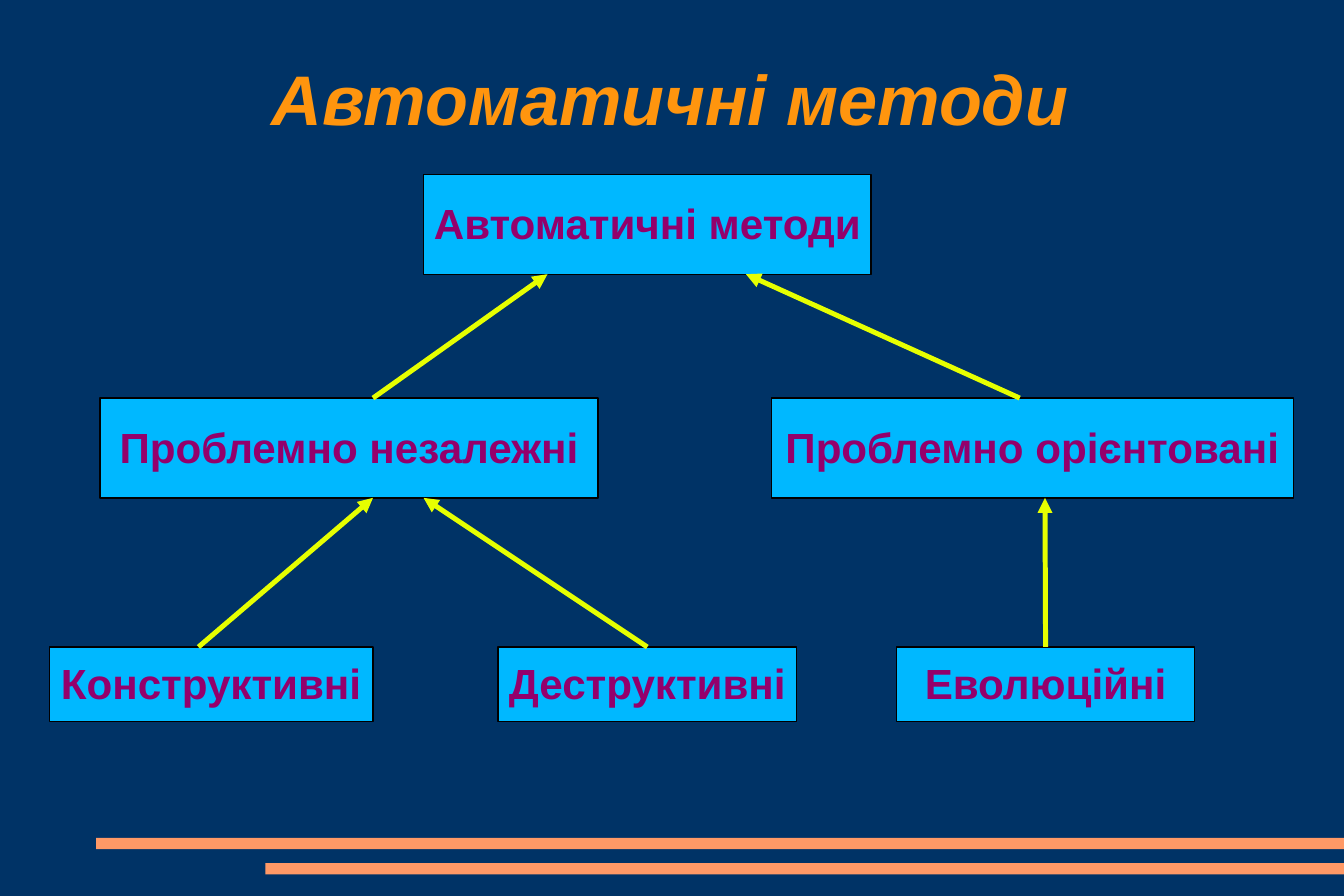
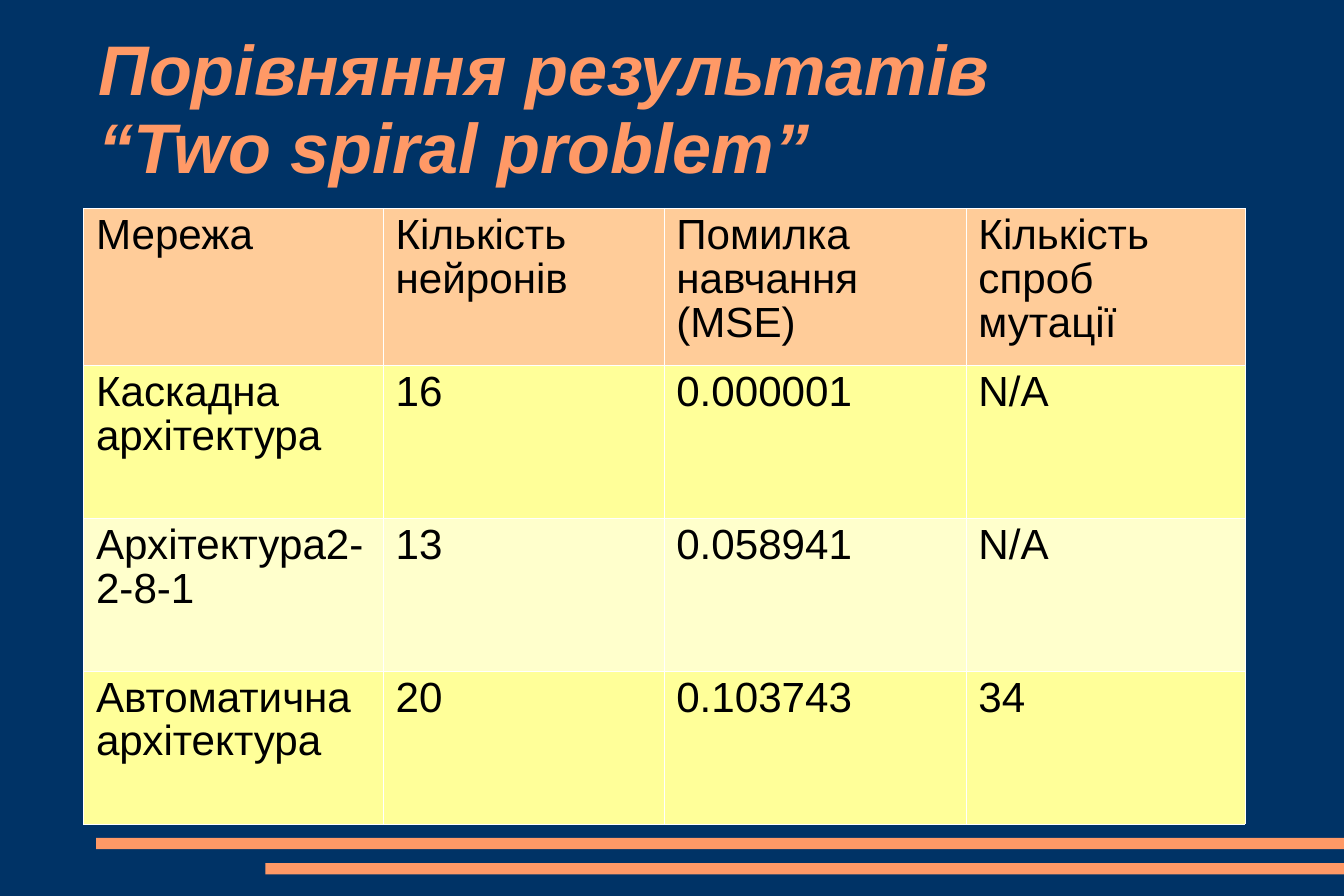
from dataclasses import dataclass

import pptx
from lxml import etree
from pptx.dml.color import RGBColor
from pptx.enum.shapes import MSO_CONNECTOR, MSO_SHAPE
from pptx.enum.text import MSO_ANCHOR, PP_ALIGN
from pptx.oxml.ns import qn
from pptx.util import Inches, Pt


@dataclass(frozen=True)
class Theme:
    background: str = "003366"
    band: str = "FF9966"
    title_bright: str = "FF950E"
    title_soft: str = "FF9966"
    box: str = "00B8FF"
    box_edge: str = "000000"
    box_text: str = "94006B"
    arrow: str = "E6FF00"
    header_row: str = "FFCC99"
    body_rows: tuple = ("FFFF99", "FFFFCC")
    cell_text: str = "000000"
    cell_border: str = "FFFFFF"
    font: str = "Arial"
    title_size: int = 40
    text_size: int = 24
    line_spacing: float = 0.93


THEME = Theme()
SLIDE_SIZE = (10.63, 7.09)
BANDS = [(0.76, 6.63), (2.1, 6.83)]  # left, top; each runs to the right edge
BAND_HEIGHT = 0.09

TREE_TITLE = "Автоматичні методи"
# text: left, top, width, height
METHODS = {
    "Автоматичні методи": (3.35, 1.38, 3.54, 0.79),
    "Проблемно незалежні": (0.79, 3.15, 3.94, 0.79),
    "Проблемно орієнтовані": (6.1, 3.15, 4.13, 0.79),
    "Конструктивні": (0.39, 5.12, 2.56, 0.59),
    "Деструктивні": (3.94, 5.12, 2.36, 0.59),
    "Еволюційні": (7.09, 5.12, 2.36, 0.59),
}
# child, shift from its top centre, parent, shift from its bottom centre
TREE_ARROWS = [
    ("Проблемно незалежні", 0.19, "Автоматичні методи", -0.79),
    ("Проблемно орієнтовані", -0.1, "Автоматичні методи", 0.78),
    ("Деструктивні", 0, "Проблемно незалежні", 0.59),
    ("Конструктивні", -0.1, "Проблемно незалежні", 0.19),
    ("Еволюційні", 0, "Проблемно орієнтовані", 0.1),
]

RESULTS_TITLE = "Порівняння результатів\v“Two spiral problem”"
RESULTS = [
    ("Мережа", "Кількість\nнейронів", "Помилка навчання (MSE)", "Кількість спроб мутації"),
    ("Каскадна архітектура", "16", "0.000001", "N/A"),
    ("Архітектура2-2-8-1", "13", "0.058941", "N/A"),
    ("Автоматична архітектура", "20", "0.103743", "34"),
]
RESULTS_AT = (0.66, 1.65)
COLUMN_WIDTHS = (2.37, 2.22, 2.39, 2.21)
ROW_HEIGHTS = (1.24, 1.21, 1.21, 1.21)


def rgb(code):
    return RGBColor.from_string(code)


def inches(values):
    return [Inches(value) for value in values]


def write(frame, text, color, size=THEME.text_size, align=PP_ALIGN.LEFT,
          bold=False, italic=False):
    frame.text = text
    for paragraph in frame.paragraphs:
        paragraph.alignment = align
        paragraph.line_spacing = THEME.line_spacing
        font = paragraph.font
        font.name, font.size = THEME.font, Pt(size)
        font.bold, font.italic = bold, italic
        font.color.rgb = rgb(color)


def set_frame(frame, top_inset, wrap):
    """Middle anchor and no insets except at the top."""
    frame.word_wrap = wrap
    frame.vertical_anchor = MSO_ANCHOR.MIDDLE
    frame.margin_left = frame.margin_right = frame.margin_bottom = 0
    frame.margin_top = Inches(top_inset)


def add_rectangle(slide, at, fill):
    rectangle = slide.shapes.add_shape(MSO_SHAPE.RECTANGLE, *inches(at))
    rectangle.shadow.inherit = False
    rectangle.fill.solid()
    rectangle.fill.fore_color.rgb = rgb(fill)
    rectangle.line.fill.background()
    return rectangle


def add_slide(deck, title, title_at, color, align):
    """A blank slide with the shared bands and title style."""
    slide = deck.slides.add_slide(deck.slide_layouts[6])
    for left, top in BANDS:
        add_rectangle(slide, (left, top, SLIDE_SIZE[0] - left, BAND_HEIGHT), THEME.band)
    frame = slide.shapes.add_textbox(*inches(title_at)).text_frame
    set_frame(frame, 0.04, wrap=True)
    write(frame, title, color, THEME.title_size, align, bold=True, italic=True)
    return slide


def add_method(slide, name, at):
    box = add_rectangle(slide, at, THEME.box)
    box.line.color.rgb = rgb(THEME.box_edge)
    box.line.width = Pt(0.75)
    set_frame(box.text_frame, 0.02, wrap=False)
    write(box.text_frame, name, THEME.box_text, align=PP_ALIGN.CENTER, bold=True)
    return box


def add_arrow(slide, child, child_shift, parent, parent_shift):
    arrow = slide.shapes.add_connector(
        MSO_CONNECTOR.STRAIGHT,
        child.left + child.width // 2 + Inches(child_shift), child.top,
        parent.left + parent.width // 2 + Inches(parent_shift), parent.top + parent.height)
    if child_shift == 0:
        arrow.begin_connect(child, 0)
    if parent_shift == 0:
        arrow.end_connect(parent, 2)
    arrow.line.color.rgb = rgb(THEME.arrow)
    arrow.line.width = Pt(2.83)
    properties = arrow.element.spPr
    etree.SubElement(properties.find(qn("a:ln")), qn("a:tailEnd"), type="triangle")
    etree.SubElement(properties, qn("a:effectLst"))


def set_borders(cell):
    properties = cell._tc.get_or_add_tcPr()
    for side in ("lnL", "lnR", "lnT", "lnB"):
        border = etree.SubElement(properties, qn(f"a:{side}"), w=str(Pt(0.06)))
        fill = etree.SubElement(border, qn("a:solidFill"))
        etree.SubElement(fill, qn("a:srgbClr"), val=THEME.cell_border)


def build_tree(deck):
    slide = add_slide(deck, TREE_TITLE, (0.76, 0.2, 9.08, 1.18),
                      THEME.title_bright, PP_ALIGN.CENTER)
    boxes = {name: add_method(slide, name, at) for name, at in METHODS.items()}
    for child, child_shift, parent, parent_shift in TREE_ARROWS:
        add_arrow(slide, boxes[child], child_shift, boxes[parent], parent_shift)


def build_results(deck):
    slide = add_slide(deck, RESULTS_TITLE, (0.78, 0.24, 9.08, 1.24),
                      THEME.title_soft, PP_ALIGN.LEFT)
    table = slide.shapes.add_table(
        len(RESULTS), len(COLUMN_WIDTHS),
        *inches((*RESULTS_AT, sum(COLUMN_WIDTHS), sum(ROW_HEIGHTS)))).table
    table.first_row = table.horz_banding = False
    for column, width in zip(table.columns, COLUMN_WIDTHS):
        column.width = Inches(width)
    for index, (row, height, texts) in enumerate(zip(table.rows, ROW_HEIGHTS, RESULTS)):
        row.height = Inches(height)
        fill = THEME.body_rows[(index - 1) % 2] if index else THEME.header_row
        for cell, text in zip(row.cells, texts):
            set_borders(cell)
            cell.fill.solid()
            cell.fill.fore_color.rgb = rgb(fill)
            write(cell.text_frame, text, THEME.cell_text)


def main():
    deck = pptx.Presentation()
    deck.slide_width, deck.slide_height = inches(SLIDE_SIZE)
    background = deck.slide_master.background.fill
    background.solid()
    background.fore_color.rgb = rgb(THEME.background)
    build_tree(deck)
    build_results(deck)
    deck.save("out.pptx")


if __name__ == "__main__":
    main()
